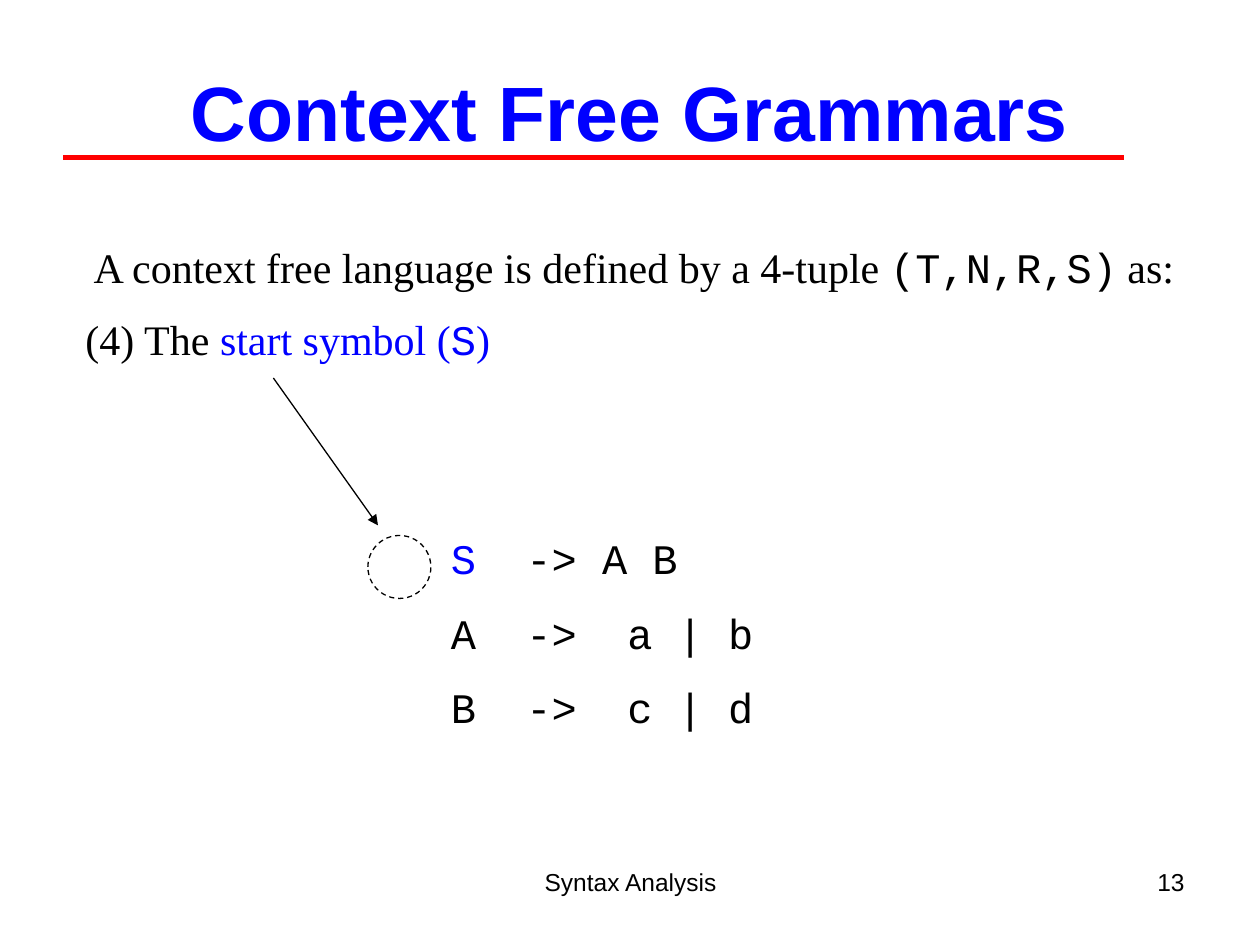
from pptx import Presentation
from pptx.dml.color import RGBColor
from pptx.enum import dml, shapes, text
from pptx.oxml.ns import qn
from pptx.util import Inches, Pt
from lxml import etree

THEME = {
    "black": RGBColor(0, 0, 0), "blue": RGBColor(0, 0, 255), "red": RGBColor(255, 0, 0),
    "sans": "Arial", "serif": "Times New Roman", "mono": "Courier New",
    "title": 44, "body": 24, "footer": 14,
}
LEFT, CENTER, RIGHT = text.PP_ALIGN.LEFT, text.PP_ALIGN.CENTER, text.PP_ALIGN.RIGHT
TOP, MIDDLE = text.MSO_ANCHOR.TOP, text.MSO_ANCHOR.MIDDLE

# Content: paragraphs of (text, font, colour) runs
TITLE = [[("Context Free Grammars", "sans", "blue")]]
DEFINITION = [
    [(" A context free language is defined by a 4-tuple ", "serif", "black"),
     ("(T,N,R,S)", "mono", "black"), (" as:", "serif", "black")],
    [("(4) The ", "serif", "black"), ("start symbol (", "serif", "blue"),
     ("S", "mono", "blue"), (")", "serif", "blue")],
]
GRAMMAR = [
    [("S", "mono", "blue"), ("  -> A B", "mono", "black")],
    [("A  ->  a | b", "mono", "black")],
    [("B  ->  c | d", "mono", "black")],
]
FOOTER = [[("Syntax Analysis", "sans", "black")]]
NUMBER = [[("13", "sans", "black")]]

# Box, paragraphs, size, alignment, anchor, space between paragraphs
TEXTS = [
    ((0.5, 0.25, 9, 1.25), TITLE, "title", CENTER, MIDDLE, 0),
    ((0.58, 1.87, 9.42, 1.1), DEFINITION, "body", LEFT, TOP, 12),
    ((3.48, 4.18, 4, 1.65), GRAMMAR, "body", LEFT, TOP, 13.6),
    ((3.42, 6.83, 3.17, 0.52), FOOTER, "footer", CENTER, TOP, 0),
    ((7.17, 6.83, 2.33, 0.52), NUMBER, "footer", RIGHT, TOP, 0),
]
# Ends, colour, width, arrowhead
LINES = [
    ((0.5, 1.25, 8.92, 1.25), "red", 3, False),
    ((2.17, 3, 3, 4.17), "black", 0.75, True),
]
START_MARK = (2.92, 4.25, 0.5, 0.5)

prs = Presentation()
prs.slide_width, prs.slide_height = Inches(10), Inches(7.5)
s = prs.slides.add_slide(prs.slide_layouts[6])


def add_text(box, paragraphs, size, align, anchor, gap):
    tf = s.shapes.add_textbox(*map(Inches, box)).text_frame
    tf.word_wrap, tf.vertical_anchor = True, anchor
    for i, runs in enumerate(paragraphs):
        p = tf.add_paragraph() if i else tf.paragraphs[0]
        p.alignment, p.space_before = align, Pt(gap if i else 0)
        for words, font, color in runs:
            r = p.add_run()
            r.text = words
            r.font.color.rgb = THEME[color]
            look = {"name": THEME[font], "size": Pt(THEME[size]), "bold": size == "title"}
            for key, value in look.items():
                setattr(r.font, key, value)


def add_line(ends, color, width, arrow):
    line = s.shapes.add_connector(shapes.MSO_CONNECTOR.STRAIGHT, *map(Inches, ends))
    line.line.color.rgb, line.line.width = THEME[color], Pt(width)
    if arrow:
        etree.SubElement(line.line._get_or_add_ln(), qn("a:tailEnd"), type="triangle")
    etree.SubElement(line._element.spPr, qn("a:effectLst"))


# Text
for item in TEXTS:
    add_text(*item)

# Title rule and pointer
for item in LINES:
    add_line(*item)

# Dashed circle by the start symbol
sp = s.shapes.add_shape(shapes.MSO_SHAPE.OVAL, *map(Inches, START_MARK))
sp.shadow.inherit = False
sp.fill.background()
sp.line.color.rgb, sp.line.width = THEME["black"], Pt(0.75)
sp.line.dash_style = dml.MSO_LINE.DASH

prs.save("out.pptx")
